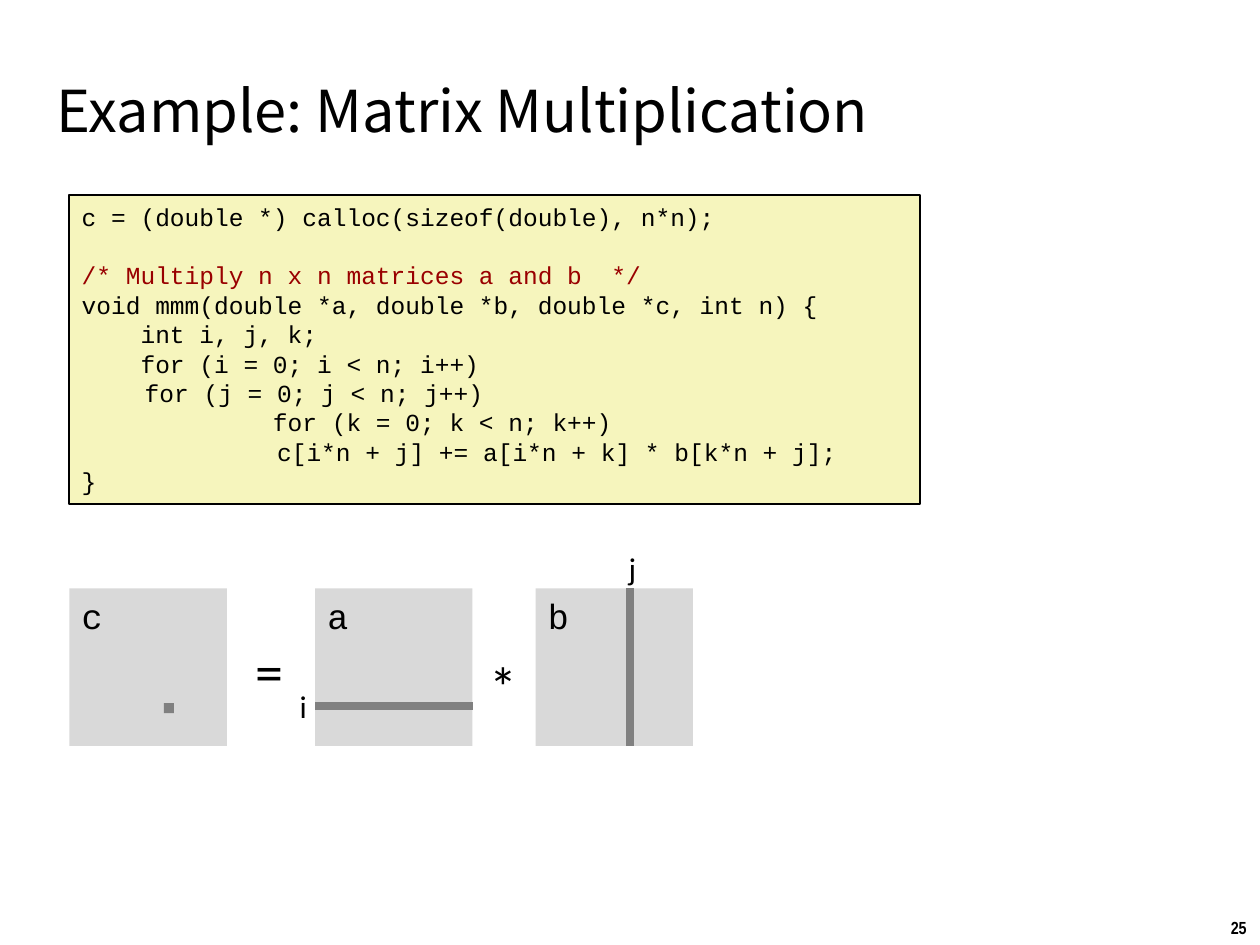
"""Builds the matrix multiplication example slide."""
import lxml.etree
import pptx
import pptx.dml.color
import pptx.enum.shapes
import pptx.enum.text
import pptx.oxml.ns
import pptx.util

Inches = pptx.util.Inches
RECTANGLE = pptx.enum.shapes.MSO_SHAPE.RECTANGLE

THEME = {
    "ink": "000000", "comment": "990000", "code_fill": "F6F5BD",
    "matrix": "D9D9D9", "mark": "808080",
    "title_font": "Noto Sans CJK SC", "label_font": "Calibri",
    "code_font": "Courier New", "number_font": "Arial Narrow",
    "title": 33, "operator": 32, "matrix_name": 20, "index": 18, "code": 14, "number": 10,
}
TITLE = "Example: Matrix Multiplication"
NUMBER = "25"
CODE = [
    "c = (double *) calloc(sizeof(double), n*n);",
    "",
    "/* Multiply n x n matrices a and b  */",
    "void mmm(double *a, double *b, double *c, int n) {",
    "    int i, j, k;",
    "    for (i = 0; i < n; i++)",
    "\tfor (j = 0; j < n; j++)",
    "             for (k = 0; k < n; k++)",
    "\t         c[i*n + j] += a[i*n + k] * b[k*n + j];",
    "}",
]
MATRIX_LEFT = {"c": 0.55, "a": 2.5, "b": 4.25}
MATRIX_TOP, MATRIX_SIDE = 4.67, 1.25
ROW_Y, COLUMN_X = 5.6, 5
LABELS = [
    ("i", "index", (2.28, 5.4, 0.26, 0.4)),
    ("j", "index", (4.89, 4.31, 0.27, 0.4)),
    ("*", "operator", (3.79, 5.12, 0.43, 0.64)),
    ("=", "operator", (1.93, 5, 0.43, 0.64)),
]
LINES = [
    (MATRIX_LEFT["a"], ROW_Y, MATRIX_LEFT["a"] + MATRIX_SIDE, ROW_Y),
    (COLUMN_X, MATRIX_TOP, COLUMN_X, MATRIX_TOP + MATRIX_SIDE),
]


def color(name):
    return pptx.dml.color.RGBColor.from_string(THEME[name])


def write(paragraph, text, size, font, ink="ink", bold=False):
    paragraph.text = text
    paragraph.alignment = pptx.enum.text.PP_ALIGN.LEFT
    paragraph.font.size = pptx.util.Pt(THEME[size])
    paragraph.font.name = THEME[font]
    paragraph.font.bold = bold
    paragraph.font.color.rgb = color(ink)


def add_text(slide, box, text, size, font, bold=False):
    shape = slide.shapes.add_textbox(*map(Inches, box))
    shape.text_frame.word_wrap = False
    shape.text_frame.auto_size = pptx.enum.text.MSO_AUTO_SIZE.SHAPE_TO_FIT_TEXT
    write(shape.text_frame.paragraphs[0], text, size, font, bold=bold)
    return shape


def add_rectangle(slide, box, fill):
    shape = slide.shapes.add_shape(RECTANGLE, *map(Inches, box))
    shape.shadow.inherit = False
    shape.fill.solid()
    shape.fill.fore_color.rgb = color(fill)
    shape.line.fill.background()
    shape.text_frame.vertical_anchor = pptx.enum.text.MSO_ANCHOR.TOP
    return shape


def add_line(slide, ends):
    straight = pptx.enum.shapes.MSO_CONNECTOR.STRAIGHT
    line = slide.shapes.add_connector(straight, *map(Inches, ends))
    line.line.color.rgb = color("mark")
    line.line.width = pptx.util.Pt(4.5)
    properties = line._element.spPr
    lxml.etree.SubElement(properties, pptx.oxml.ns.qn("a:effectLst"))


def add_tab_stop(paragraph, position):
    properties = paragraph._p.get_or_add_pPr()
    tabs = lxml.etree.SubElement(properties, pptx.oxml.ns.qn("a:tabLst"))
    lxml.etree.SubElement(
        tabs, pptx.oxml.ns.qn("a:tab"), pos=str(Inches(position)), algn="l")


def add_code(slide):
    shape = add_rectangle(slide, (0.55, 1.55, 6.75, 2.45), "code_fill")
    shape.line.color.rgb = color("ink")
    shape.line.width = pptx.util.Pt(1)
    frame = shape.text_frame
    frame.word_wrap = False
    for index, text in enumerate(CODE):
        paragraph = frame.add_paragraph() if index else frame.paragraphs[0]
        if text.startswith("\t"):
            add_tab_stop(paragraph, 0.5)
        ink = "comment" if text.startswith("/*") else "ink"
        write(paragraph, text, "code", "code_font", ink)


def main():
    presentation = pptx.Presentation()
    presentation.slide_width, presentation.slide_height = Inches(10), Inches(7.5)
    slide = presentation.slides.add_slide(presentation.slide_layouts[6])

    add_text(slide, (9.67, 7.23, 0.34, 0.27), NUMBER, "number", "number_font", bold=True)
    title = add_text(slide, (0.35, 0.49, 8.3, 0.83), TITLE, "title", "title_font")
    title.text_frame.word_wrap = True
    title.text_frame.auto_size = pptx.enum.text.MSO_AUTO_SIZE.NONE
    title.text_frame.vertical_anchor = pptx.enum.text.MSO_ANCHOR.MIDDLE
    title.text_frame.paragraphs[0].line_spacing = 0.9

    for name, left in MATRIX_LEFT.items():
        matrix = add_rectangle(slide, (left, MATRIX_TOP, MATRIX_SIDE, MATRIX_SIDE), "matrix")
        write(matrix.text_frame.paragraphs[0], name, "matrix_name", "code_font")
    for ends in LINES:
        add_line(slide, ends)
    for text, size, box in LABELS:
        add_text(slide, box, text, size, "label_font")
    add_rectangle(slide, (1.3, 5.58, 0.08, 0.08), "mark")
    add_code(slide)
    presentation.save("out.pptx")


if __name__ == "__main__":
    main()
